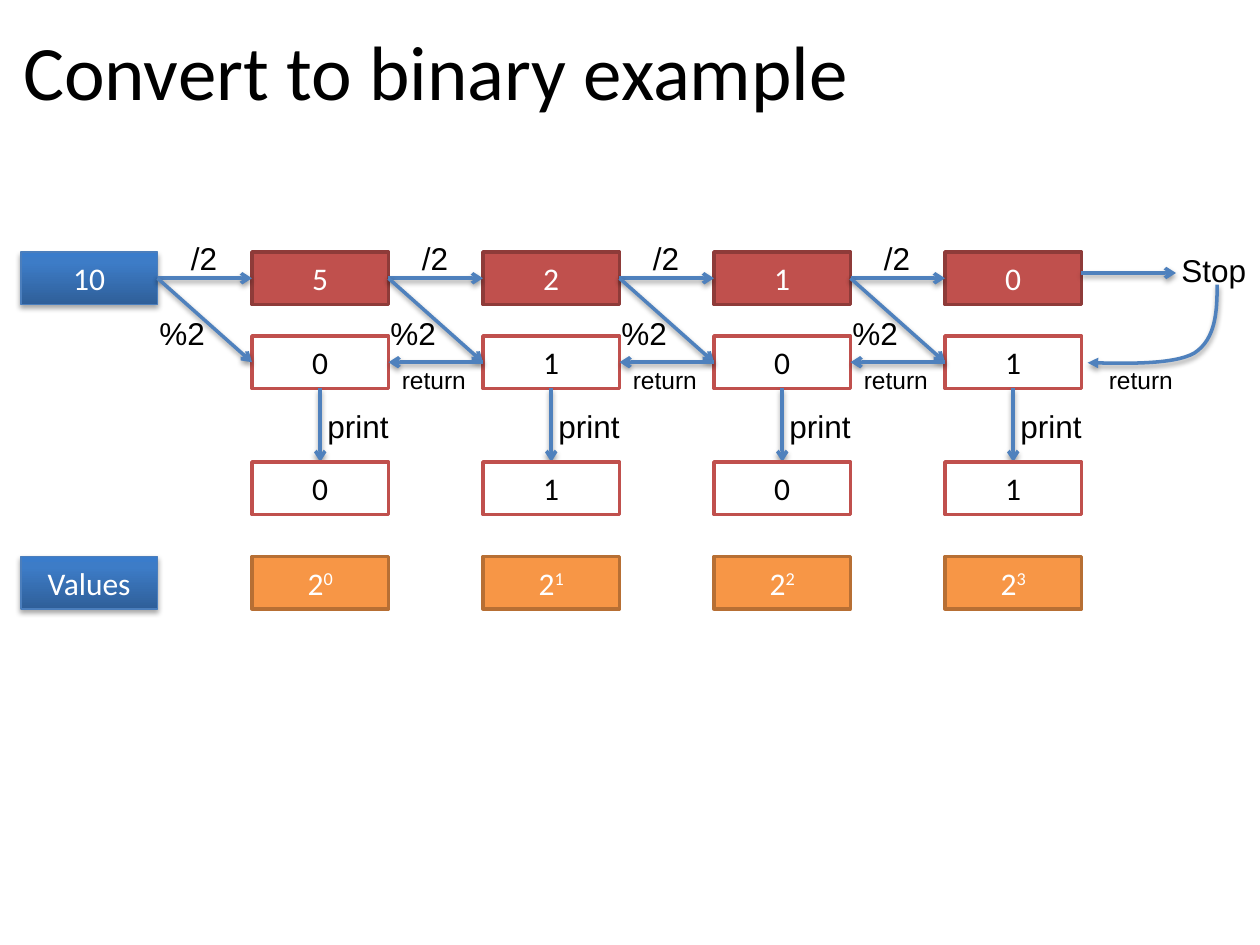
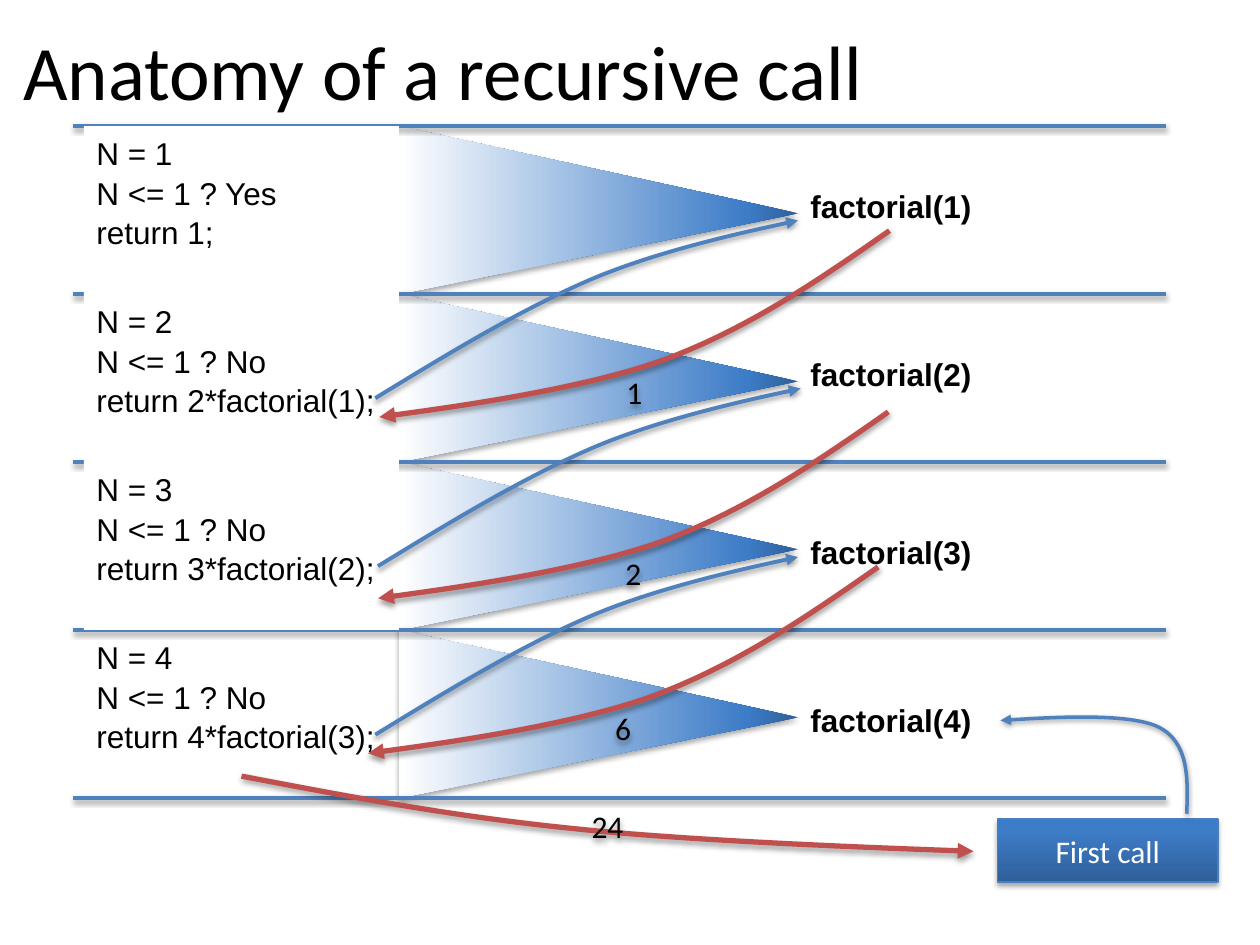
from pptx import Presentation
from pptx.dml.color import RGBColor
from pptx.enum.shapes import MSO_CONNECTOR, MSO_SHAPE
from pptx.enum.text import MSO_ANCHOR, MSO_AUTO_SIZE, PP_ALIGN
from pptx.oxml import parse_xml
from pptx.oxml.ns import nsdecls, qn
from pptx.util import Pt

RECT, TRIANGLE = MSO_SHAPE.RECTANGLE, MSO_SHAPE.ISOSCELES_TRIANGLE
STRAIGHT = MSO_CONNECTOR.STRAIGHT
TOP, MIDDLE, BOTTOM = MSO_ANCHOR.TOP, MSO_ANCHOR.MIDDLE, MSO_ANCHOR.BOTTOM
LEFT, CENTER = PP_ALIGN.LEFT, PP_ALIGN.CENTER
GROW = MSO_AUTO_SIZE.SHAPE_TO_FIT_TEXT

BLACK = RGBColor(0x00, 0x00, 0x00)
WHITE = RGBColor(0xFF, 0xFF, 0xFF)
BLUE = RGBColor(0x4F, 0x81, 0xBD)
BLUE_EDGE = RGBColor(0x4B, 0x7E, 0xBC)
BLUE_DARK = RGBColor(0x2F, 0x5F, 0x99)
BLUE_MID = RGBColor(0x3D, 0x7C, 0xC7)
BLUE_BRIGHT = RGBColor(0x3A, 0x7C, 0xCB)
RED = RGBColor(0xC0, 0x50, 0x4D)
RED_EDGE = RGBColor(0x8E, 0x3B, 0x39)
ORANGE = RGBColor(0xF7, 0x96, 0x46)
ORANGE_EDGE = RGBColor(0xB7, 0x6F, 0x34)

# Gradients: angle in degrees, then (position in percent, colour) stops
BUTTON = 270, [(0, BLUE_DARK), (80, BLUE_MID), (100, BLUE_BRIGHT)]
BEAM = 90, [(0, BLUE_DARK), (13, BLUE_MID), (100, WHITE)]

# Box looks: fill, edge, text colour
RED_BOX = RED, RED_EDGE, WHITE
WHITE_BOX = WHITE, RED, BLACK
ORANGE_BOX = ORANGE, ORANGE_EDGE, WHITE

# Curves: Bezier points relative to the start; the last one ends the curve
STOP_CURVE = [(0, 15), (-0.7, 31), (-13, 39), (-25, 46), (-74, 44.6)]
FIRST_CURVE = [(0.7, -20), (1.4, -41), (-16.5, -49.7), (-34.5, -58.3), (-106.5, -53.3)]
CALL_CURVE = [(42.5, -26), (85.5, -52), (126, -69), (166.5, -85.7), (241.5, -101.5)]
RETURN_CURVE = [(-40, 28), (-80, 55.5), (-128, 73.5), (-177, 91.5), (-291.5, 106.5)]
RESULT_CURVE = [(60.5, 11.5), (120, 23), (190, 30), (260, 37.5), (418.3, 43)]


class Deck:
    heading, body, size = "Calibri", "Arial", 18

    def __init__(self):
        self.prs = Presentation()
        self.prs.slide_width, self.prs.slide_height = Pt(720), Pt(540)
        self.s = None

    def new_slide(self, title):
        self.s = self.prs.slides.add_slide(self.prs.slide_layouts[5])
        sp = self.s.shapes.title
        sp.left, sp.top, sp.width, sp.height = Pt(6), Pt(6), Pt(702), Pt(68)
        self.set_text(sp.text_frame, [title], self.heading, size=44, anchor=MIDDLE)

    def set_text(self, tf, lines, font, color=BLACK, size=size, anchor=TOP,
                 align=LEFT, bold=False):
        tf.vertical_anchor = anchor
        tf.text = "\n".join(lines)
        for p in tf.paragraphs:
            p.alignment = align
            p.font.name, p.font.size, p.font.bold = font, Pt(size), bold
            p.font.color.rgb = color
            if font == self.body:
                p.line_spacing = 1.05

    def shadow(self, sp, alpha=38, dist=1.6):
        """Add a soft drop shadow; call it after fill and line are set."""
        sp._element.spPr.append(parse_xml(
            f'<a:effectLst {nsdecls("a")}><a:outerShdw blurRad="{Pt(3.1)}" '
            f'dist="{Pt(dist)}" dir="5400000" rotWithShape="0"><a:srgbClr val="{BLACK}">'
            f'<a:alpha val="{alpha * 1000}"/></a:srgbClr></a:outerShdw></a:effectLst>'))

    def gradient(self, sp, angle, stops):
        sp.fill.gradient()
        spPr = sp._element.spPr
        gs = "".join(f'<a:gs pos="{pos * 1000}"><a:srgbClr val="{color}"/></a:gs>'
                     for pos, color in stops)
        spPr.replace(spPr.find(qn("a:gradFill")), parse_xml(
            f'<a:gradFill {nsdecls("a")} rotWithShape="1"><a:gsLst>{gs}</a:gsLst>'
            f'<a:lin ang="{angle * 60000}" scaled="0"/></a:gradFill>'))

    def stroke(self, sp, color, width, head=None):
        sp.line.color.rgb, sp.line.width = color, Pt(width)
        if head:
            sp.line._get_or_add_ln().append(
                parse_xml(f'<a:tailEnd {nsdecls("a")} type="{head}"/>'))

    def shape(self, kind, x, y, w, h):
        return self.s.shapes.add_shape(kind, Pt(x), Pt(y), Pt(w), Pt(h))

    def box(self, x, y, text, look, exponent=None):
        fill, edge, color = look
        sp = self.shape(RECT, x, y, 78, 30)
        sp.fill.solid()
        sp.fill.fore_color.rgb = fill
        self.stroke(sp, edge, 2)
        sp.shadow.inherit = False
        self.set_text(sp.text_frame, [text], self.heading, color, anchor=MIDDLE, align=CENTER)
        if exponent is not None:
            r = sp.text_frame.paragraphs[0].add_run()
            r.text = exponent
            r._r.get_or_add_rPr().set("baseline", "30000")

    def button(self, x, y, w, h, text):
        sp = self.shape(RECT, x, y, w, h)
        self.gradient(sp, *BUTTON)
        self.stroke(sp, BLUE_EDGE, 0.75)
        self.shadow(sp, 35, 1.8)
        self.set_text(sp.text_frame, [text], self.heading, WHITE, anchor=MIDDLE, align=CENTER)

    def panel(self, x, y, w, h, lines):
        sp = self.shape(RECT, x, y, w, h)
        sp.fill.solid()
        sp.fill.fore_color.rgb = WHITE
        sp.line.fill.background()
        sp.shadow.inherit = False
        self.set_text(sp.text_frame, lines, self.body)

    def beam(self, x, y, w, h):
        """Draw a triangle that fills the given area and points right."""
        sp = self.shape(TRIANGLE, x + (w - h) / 2, y + (h - w) / 2, h, w)
        sp.rotation = 90
        sp.adjustments[0] = 0.52
        self.gradient(sp, *BEAM)
        sp.line.fill.background()
        self.shadow(sp, 35, 1.8)

    def label(self, x, y, w, text, size=size, bold=False):
        sp = self.s.shapes.add_textbox(Pt(x), Pt(y), Pt(w), Pt(size * 1.2 + 7.2))
        tf = sp.text_frame
        tf.word_wrap = False
        tf.auto_size = GROW
        self.set_text(tf, [text], self.body, size=size, bold=bold)

    def line(self, x1, y1, x2, y2, head=None):
        sp = self.s.shapes.add_connector(STRAIGHT, Pt(x1), Pt(y1), Pt(x2), Pt(y2))
        self.stroke(sp, BLUE, 2, head)
        self.shadow(sp)

    def curve(self, x, y, offsets, color=BLUE, width=2, text=None):
        points = [(Pt(x + dx), Pt(y + dy)) for dx, dy in offsets + offsets[-1:]]
        builder = self.s.shapes.build_freeform(Pt(x), Pt(y))
        builder.add_line_segments(points, close=False)
        sp = builder.convert_to_shape()
        # Turn every three straight segments into one cubic Bezier segment
        outline = next(sp._element.iter(qn("a:path")))
        segments = outline.findall(qn("a:lnTo"))
        for i in range(0, len(segments), 3):
            bezier = parse_xml(f'<a:cubicBezTo {nsdecls("a")}/>')
            for segment in segments[i:i + 3]:
                bezier.append(segment[0])
                outline.remove(segment)
            outline.append(bezier)
        sp.fill.background()
        self.stroke(sp, color, width, "triangle")
        self.shadow(sp)
        if text:
            self.set_text(sp.text_frame, [text], self.heading, anchor=BOTTOM, align=CENTER)


def binary_slide(deck):
    deck.new_slide("Convert to binary example")
    box_w, pitch, first = 78, 132, 144
    gap = pitch - box_w
    deck.button(12, 144, box_w, 30, "10")
    deck.button(12, 318, box_w, 30, "Values")
    steps = [("5", "0"), ("2", "1"), ("1", "0"), ("0", "1")]
    for i, (quotient, bit) in enumerate(steps):
        x = first + i * pitch
        deck.box(x, 192, bit, WHITE_BOX)
        deck.box(x, 144, quotient, RED_BOX)
        deck.line(x - gap, 159, x, 159, "arrow")
        deck.line(x - gap, 159, x, 207, "arrow")
        deck.label(x - 42, 132, 29.5, "/2")
        deck.label(x - 60, 175, 41, "%2")
        if i:
            deck.line(x, 207, x - gap, 207, "arrow")
            deck.label(x - gap + 0.5, 204, 51, "return", 14)
        deck.line(x + box_w / 2, 222, x + box_w / 2, 264, "arrow")
        deck.box(x, 264, bit, WHITE_BOX)
        deck.label(x + 36, 228, 49.5, "print")
        deck.box(x, 318, "2", ORANGE_BOX, str(i))
    deck.line(618, 156, 672, 156, "arrow")
    deck.label(668, 139, 52, "Stop")
    deck.curve(695.5, 162.7, STOP_CURVE)
    deck.label(626.5, 204, 51, "return", 14)


def recursion_slide(deck):
    deck.new_slide("Anatomy of a recursive call")
    top, row_h = 72, 96

    def panel(n):
        test, result = ("No", f"{n}*factorial({n - 1})") if n > 1 else ("Yes", "1")
        deck.panel(48, top + (n - 1) * row_h, 180, row_h,
                   [f"N = {n}", f"N <= 1 ? {test}", f"return {result};"])

    panel(4)
    for i in range(4):
        deck.beam(228, top + i * row_h, 228, row_h)
    for n, y in enumerate([102, 198, 300, 396], 1):
        deck.label(456, y, 107.5, f"factorial({n})", bold=True)
    for i in range(5):
        deck.line(42, top + i * row_h, 666, top + i * row_h)
    deck.button(570, 468, 126, 36, "First call")
    deck.curve(678.2, 465, FIRST_CURVE)
    for n in (3, 2, 1):
        panel(n)
    for x, y, value in [(508.3, 131.8, "1"), (507.6, 235.4, "2"), (501.8, 324, "6")]:
        deck.curve(x, y, RETURN_CURVE, RED, 3, value)
    deck.curve(138, 443.5, RESULT_CURVE, RED, 3, "24")
    for x, y in [(214.5, 419.8), (216, 323.5), (214.5, 227.5)]:
        deck.curve(x, y, CALL_CURVE, width=2.25)


def main():
    deck = Deck()
    binary_slide(deck)
    recursion_slide(deck)
    deck.prs.save("out.pptx")


if __name__ == "__main__":
    main()
